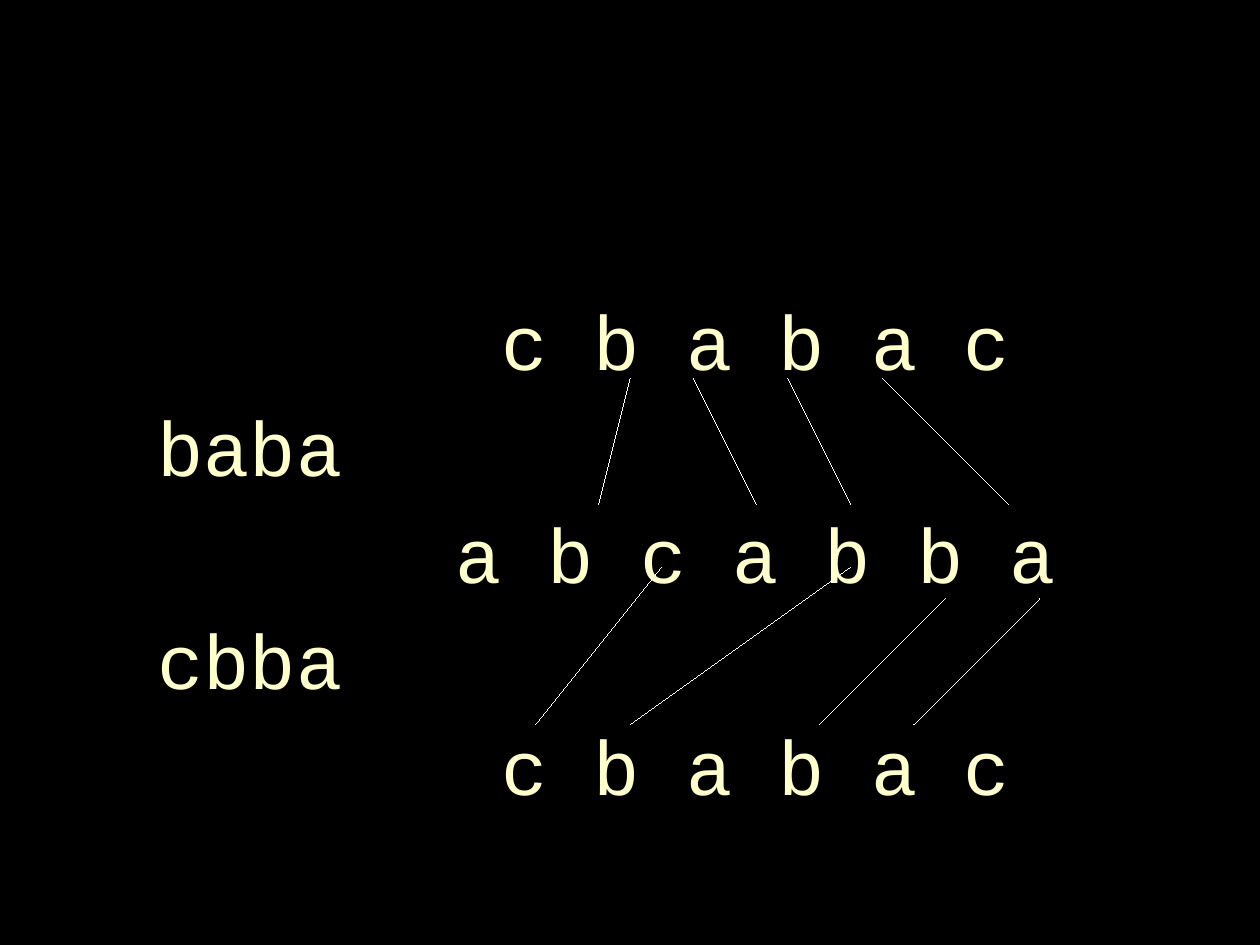
"""Build a slide that matches common subsequences between two strings."""
from typing import NamedTuple

from lxml import etree
from pptx import Presentation, util as u
from pptx.dml.color import RGBColor
from pptx.enum import shapes, text
from pptx.oxml import ns

GRID = 2.54
HANGING = u.Cm(0.94)


class Row(NamedTuple):
    wording: str
    centred: bool


class Link(NamedTuple):
    lower_x: float
    upper_x: float
    lower_y: float
    upper_y: float


ROWS = [
    Row("c b a b a c", True),
    Row("baba", False),
    Row("a b c a b b a", True),
    Row("cbba", False),
    Row("c b a b a c", True),
]
LINKS = [
    Link(4.75, 5, 4, 3),
    Link(6, 5.5, 4, 3),
    Link(6.75, 6.25, 4, 3),
    Link(8, 7, 4, 3),
    Link(4.25, 5.25, 5.75, 4.5),
    Link(5, 6.75, 5.75, 4.5),
    Link(6.5, 7.5, 5.75, 4.75),
    Link(7.25, 8.25, 5.75, 4.75),
]


def colour(value: str) -> RGBColor:
    return RGBColor.from_string(value)


def grid(units: float) -> u.Length:
    return u.Cm(units * GRID)


def add_rows(page, rows: list[Row]) -> None:
    box = page.shapes.add_textbox(grid(1.25), grid(2.33), grid(9.5), grid(4.42))
    frame = box.text_frame
    frame.word_wrap = True
    frame.margin_left = frame.margin_right = 0
    frame.margin_top = frame.margin_bottom = 0
    for index, row in enumerate(rows):
        para = frame.add_paragraph() if index else frame.paragraphs[0]
        para.alignment = text.PP_ALIGN.CENTER if row.centred else text.PP_ALIGN.LEFT
        para.space_before = u.Pt(8 if index else 0)
        properties = para._p.get_or_add_pPr()
        properties.set("marL", str(HANGING))
        properties.set("indent", str(-HANGING))
        span = para.add_run()
        span.text = row.wording
        span.font.name = "Courier New"
        span.font.size = u.Pt(44)
        span.font.color.rgb = colour("FFFFCC")


def add_link(page, link: Link) -> None:
    line = page.shapes.add_connector(
        shapes.MSO_CONNECTOR.STRAIGHT,
        grid(link.lower_x), grid(link.lower_y),
        grid(link.upper_x), grid(link.upper_y),
    )
    line.line.color.rgb = colour("FFFFFF")
    line.get_or_add_ln().set("w", "0")
    etree.SubElement(line._element.spPr, ns.qn("a:effectLst"))


def main() -> None:
    deck = Presentation()
    deck.slide_width, deck.slide_height = grid(10), grid(7.5)
    page = deck.slides.add_slide(deck.slide_layouts[6])
    page.background.fill.solid()
    page.background.fill.fore_color.rgb = colour("000000")
    add_rows(page, ROWS)
    for link in LINKS:
        add_link(page, link)
    deck.save("out.pptx")


if __name__ == "__main__":
    main()
